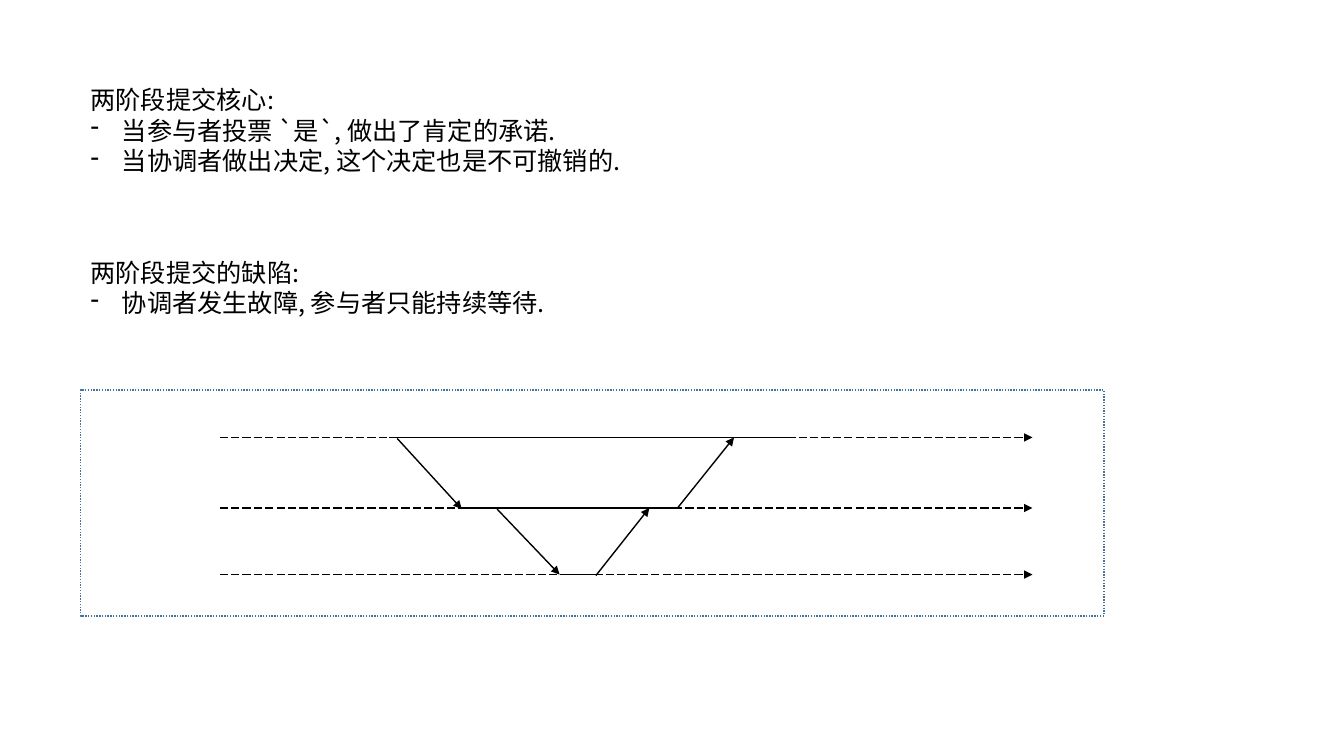
from dataclasses import dataclass

from lxml.etree import SubElement
from pptx import Presentation
from pptx.dml.color import RGBColor
from pptx.enum.dml import MSO_LINE
from pptx.enum.shapes import MSO_CONNECTOR, MSO_SHAPE
from pptx.enum.text import MSO_AUTO_SIZE
from pptx.oxml.ns import qn
from pptx.slide import Slide
from pptx.util import Emu, Pt

PX = 9144  # 100 px to the inch
FONT = "Noto Sans CJK SC"
COLORS = {"ink": "000000", "frame": "43739E"}
BULLET_INDENT = 31


@dataclass(frozen=True)
class Note:
    top: int
    height: int
    heading: str
    points: tuple[str, ...]


@dataclass(frozen=True)
class Stroke:
    x1: int
    y1: int
    x2: int
    y2: int
    arrow: bool = False
    dashed: bool = False
    width: float = 1


NOTES = (
    Note(79, 101, "两阶段提交核心:", (
        "当参与者投票 `是`, 做出了肯定的承诺.",
        "当协调者做出决定, 这个决定也是不可撤销的.",
    )),
    Note(250, 71, "两阶段提交的缺陷:", ("协调者发生故障, 参与者只能持续等待.",)),
)

# Timelines from top to bottom
TOP, MIDDLE, BOTTOM = 434, 504, 570
TIMELINES = tuple(
    Stroke(218, y, 1024, y, arrow=True, dashed=True, width=0.75)
    for y in (TOP, MIDDLE, BOTTOM)
)
# Active spans and the messages between timelines
EXCHANGE = (
    Stroke(386, TOP, 782, TOP),
    Stroke(394, TOP + 1, 458, MIDDLE + 1, arrow=True),
    Stroke(458, MIDDLE, 672, MIDDLE),
    Stroke(672, MIDDLE, 728, TOP, arrow=True),
    Stroke(493, MIDDLE + 1, 555, BOTTOM, arrow=True),
    Stroke(555, BOTTOM, 591, BOTTOM),
    Stroke(591, BOTTOM + 1, 644, MIDDLE, arrow=True),
)


def px(value: int) -> Emu:
    return Emu(value * PX)


def color(name: str) -> RGBColor:
    return RGBColor.from_string(COLORS[name])


def draw_note(slide: Slide, note: Note) -> None:
    box = slide.shapes.add_textbox(px(80), px(note.top), px(1129), px(note.height))
    frame = box.text_frame
    frame.word_wrap = True
    frame.auto_size = MSO_AUTO_SIZE.SHAPE_TO_FIT_TEXT
    for index, text in enumerate((note.heading, *note.points)):
        paragraph = frame.add_paragraph() if index else frame.paragraphs[0]
        paragraph.line_spacing = Pt(21.6)
        if index:
            properties = paragraph._p.get_or_add_pPr()
            properties.set("marL", str(px(BULLET_INDENT)))
            properties.set("indent", str(-px(BULLET_INDENT)))
            SubElement(properties, qn("a:buFontTx"))
            SubElement(properties, qn("a:buChar"), char="-")
        run = paragraph.add_run()
        run.text = text
        run.font.size = Pt(18)
        run.font.name = FONT
        run.font.color.rgb = color("ink")
        SubElement(run._r.get_or_add_rPr(), qn("a:ea"), typeface=FONT)


def draw_frame(slide: Slide) -> None:
    shape = slide.shapes.add_shape(
        MSO_SHAPE.RECTANGLE, px(80), px(387), px(1015), px(224)
    )
    shape.shadow.inherit = False
    shape.fill.background()
    shape.line.color.rgb = color("frame")
    shape.line.width = Pt(1)
    shape.line.dash_style = MSO_LINE.ROUND_DOT


def draw_stroke(slide: Slide, stroke: Stroke) -> None:
    connector = slide.shapes.add_connector(
        MSO_CONNECTOR.STRAIGHT,
        px(stroke.x1), px(stroke.y1), px(stroke.x2), px(stroke.y2),
    )
    connector.line.color.rgb = color("ink")
    connector.line.width = Pt(stroke.width)
    if stroke.dashed:
        connector.line.dash_style = MSO_LINE.LONG_DASH
    if stroke.arrow:
        SubElement(connector.line._get_or_add_ln(), qn("a:tailEnd"), type="triangle")
    SubElement(connector._element.spPr, qn("a:effectLst"))


def main() -> None:
    presentation = Presentation()
    presentation.slide_width = px(1333)
    presentation.slide_height = px(750)
    slide = presentation.slides.add_slide(presentation.slide_layouts[6])

    # Text above, then the framed sequence diagram
    for note in NOTES:
        draw_note(slide, note)
    draw_frame(slide)
    for stroke in TIMELINES + EXCHANGE:
        draw_stroke(slide, stroke)

    presentation.save("out.pptx")


if __name__ == "__main__":
    main()
